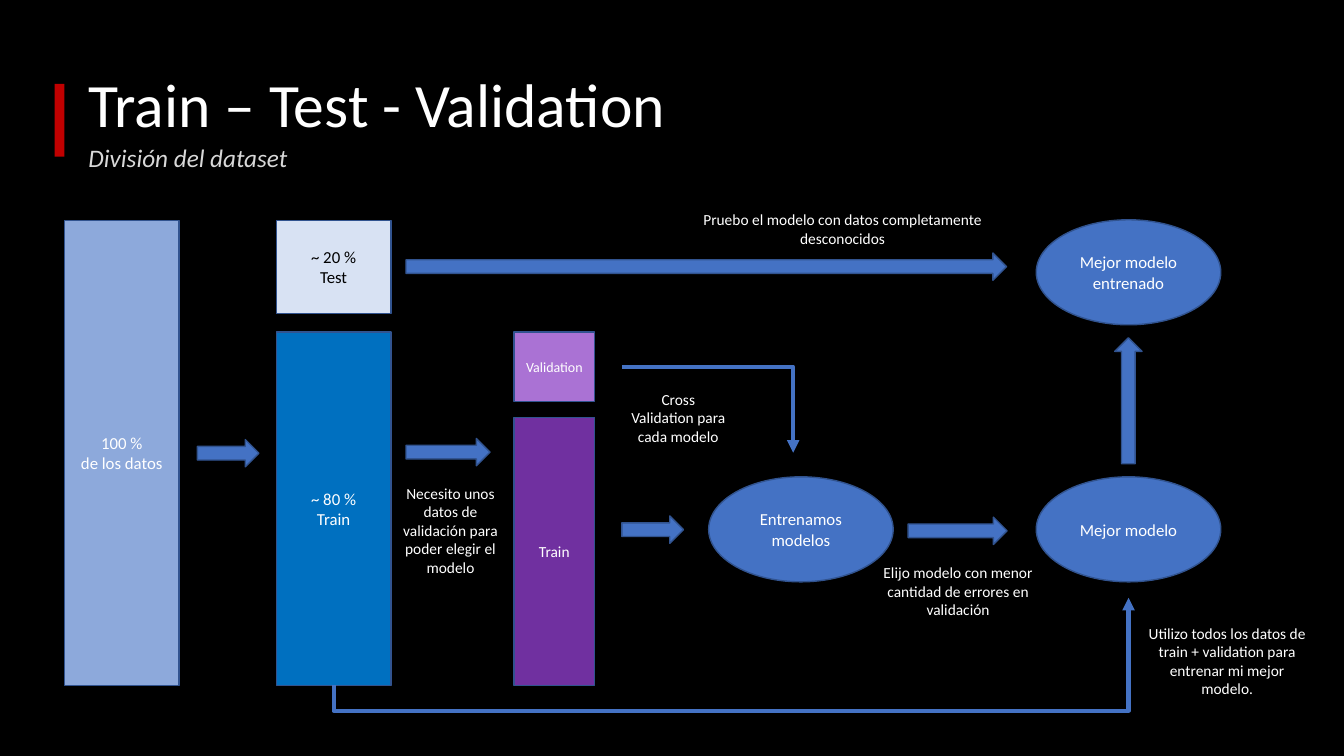
from dataclasses import dataclass

from lxml import etree
from pptx import Presentation
from pptx.dml.color import RGBColor
from pptx.enum.shapes import MSO_CONNECTOR, MSO_SHAPE
from pptx.enum.text import MSO_ANCHOR, MSO_AUTO_SIZE, PP_ALIGN
from pptx.oxml.ns import qn
from pptx.util import Pt

RECTANGLE = MSO_SHAPE.RECTANGLE
ELLIPSE = MSO_SHAPE.OVAL
ARROW = MSO_SHAPE.RIGHT_ARROW
ELBOW = MSO_CONNECTOR.ELBOW
LEFT, CENTER = PP_ALIGN.LEFT, PP_ALIGN.CENTER
TOP, MIDDLE = MSO_ANCHOR.TOP, MSO_ANCHOR.MIDDLE
NO_FIT, GROW = MSO_AUTO_SIZE.NONE, MSO_AUTO_SIZE.SHAPE_TO_FIT_TEXT


@dataclass(frozen=True)
class Theme:
    font: str = "Calibri"
    background: str = "000000"
    white: str = "FFFFFF"
    black: str = "000000"
    subtitle: str = "D8D8D8"
    accent: str = "C00000"
    blue: str = "4472C4"
    outline: str = "31538F"
    all_data: str = "8DA9DB"
    test: str = "D8E2F3"
    train: str = "0070C0"
    validation: str = "AA72D4"
    inner_train: str = "7030A0"
    title_size: int = 44
    subtitle_size: int = 18
    node_size: int = 12
    label_size: int = 11
    small_size: int = 10


THEME = Theme()
BAR_TOP, BAR_BOTTOM, BAR_WIDTH = 157.7, 489.6, 82
SPLIT_TOP = 237
DATA_LEFT, SPLIT_LEFT, FOLD_LEFT = 46, 197.3, 367.2
FOLD_WIDTH = 57.6
NODE_WIDTH, NODE_HEIGHT, NODE_TOP = 131.8, 75, 340.6
TRAINING_LEFT, BEST_LEFT = 506.2, 740.2
ARROW_HEIGHT = 19.5
FROM_SPLIT, FROM_FOLD = 290, 444.2


def color(value):
    return RGBColor.from_string(value)


def write(box, lines, size, ink=THEME.white, align=CENTER, anchor=MIDDLE,
          italic=False, spacing=1.0):
    frame = box.text_frame
    frame.word_wrap = True
    frame.vertical_anchor = anchor
    for index, line in enumerate(lines):
        para = frame.add_paragraph() if index else frame.paragraphs[0]
        para.alignment = align
        para.line_spacing = spacing
        para.space_before = Pt(0)
        span = para.add_run()
        span.text = line
        span.font.name = THEME.font
        span.font.size = Pt(size)
        span.font.italic = italic
        span.font.color.rgb = color(ink)


def add_block(page, kind, left, top, width, height, fill, outlined=True):
    box = page.shapes.add_shape(kind, Pt(left), Pt(top), Pt(width), Pt(height))
    box.shadow.inherit = False
    box.fill.solid()
    box.fill.fore_color.rgb = color(fill)
    if outlined:
        box.line.color.rgb = color(THEME.outline)
        box.line.width = Pt(1)
    else:
        box.line.fill.background()
    return box


def add_bar(page, left, top, bottom, width, fill, lines,
            size=THEME.node_size, ink=THEME.white):
    box = add_block(page, RECTANGLE, left, top, width, bottom - top, fill)
    write(box, lines, size, ink)


def add_node(page, left, top, text):
    box = add_block(page, ELLIPSE, left, top, NODE_WIDTH, NODE_HEIGHT, THEME.blue)
    write(box, [text], THEME.node_size)


def add_arrow(page, left, top, length, rotation=0):
    arrow = add_block(page, ARROW, left, top, length, ARROW_HEIGHT, THEME.blue)
    arrow.rotation = rotation


def add_label(page, left, top, width, height, text):
    box = page.shapes.add_textbox(Pt(left), Pt(top), Pt(width), Pt(height))
    write(box, [text], THEME.label_size, anchor=TOP)
    box.text_frame.auto_size = GROW


def add_elbow(page, left, top, right, bottom):
    link = page.shapes.add_connector(ELBOW, Pt(left), Pt(top), Pt(right), Pt(bottom))
    link.line.color.rgb = color(THEME.blue)
    link.line.width = Pt(3)
    properties = link._element.spPr
    etree.SubElement(properties.find(qn("a:ln")), qn("a:tailEnd"), type="triangle")
    etree.SubElement(properties, qn("a:effectLst"))
    return properties


def add_corner_link(page, left, top, right, bottom):
    properties = add_elbow(page, left, top, right, bottom)
    properties.find(qn("a:prstGeom")).set("prst", "bentConnector2")


def add_loop_link(page, left, start, right, end, drop):
    rise, run = start - end, right - left
    middle_x, middle_y = (left + right) / 2, (start + end) / 2
    properties = add_elbow(page, middle_x - rise / 2, middle_y - run / 2,
                           middle_x + rise / 2, middle_y + run / 2)
    properties.find(qn("a:xfrm")).set("rot", str(270 * 60000))
    guides = properties.find(qn("a:prstGeom")).get_or_add_avLst()
    etree.SubElement(guides, qn("a:gd"), name="adj1",
                     fmla=f"val {round(-drop / rise * 100000)}")


def place(box, left, top, width, height):
    box.left, box.top, box.width, box.height = Pt(left), Pt(top), Pt(width), Pt(height)
    box.text_frame.auto_size = NO_FIT


def add_heading(page):
    title, subtitle = page.shapes.title, page.placeholders[1]
    place(title, 56, 24.5, 828, 104.4)
    write(title, ["Train – Test - Validation"], THEME.title_size,
          align=LEFT, spacing=0.9)
    place(subtitle, 56, 100.8, 432, 37.4)
    write(subtitle, ["División del dataset"], THEME.subtitle_size, THEME.subtitle,
          LEFT, TOP, italic=True, spacing=0.9)
    settings = subtitle.text_frame.paragraphs[0]._p.get_or_add_pPr()
    settings.set("marL", "0")
    settings.set("indent", "0")
    etree.SubElement(settings, qn("a:buNone"))
    add_block(page, RECTANGLE, 39, 60, 7, 52, THEME.accent, outlined=False)


def add_datasets(page):
    add_bar(page, DATA_LEFT, BAR_TOP, BAR_BOTTOM, BAR_WIDTH, THEME.all_data,
            ["100 %", "de los datos"])
    add_bar(page, SPLIT_LEFT, BAR_TOP, 223.9, BAR_WIDTH, THEME.test,
            ["~ 20 %", "Test"], ink=THEME.black)
    add_bar(page, SPLIT_LEFT, SPLIT_TOP, BAR_BOTTOM, BAR_WIDTH, THEME.train,
            ["~ 80 %", "Train"])
    add_bar(page, FOLD_LEFT, SPLIT_TOP, 286.7, FOLD_WIDTH, THEME.validation,
            ["Validation"], THEME.small_size)
    add_bar(page, FOLD_LEFT, 298, BAR_BOTTOM, FOLD_WIDTH, THEME.inner_train,
            ["Train"], THEME.label_size)


def add_flow(page):
    add_node(page, TRAINING_LEFT, NODE_TOP, "Entrenamos modelos")
    add_node(page, BEST_LEFT, NODE_TOP, "Mejor modelo")
    add_node(page, BEST_LEFT, 157, "Mejor modelo entrenado")
    for left, top, length in [(141, 314, 44), (FROM_SPLIT, 313.2, 60),
                              (FROM_FOLD, 368.6, 44), (FROM_SPLIT, 180.7, 429),
                              (648.7, 369.4, 70.6)]:
        add_arrow(page, left, top, length)
    add_arrow(page, 761, 276.5, 90, rotation=270)
    add_corner_link(page, FROM_FOLD, 262, 566.6, 323.3)
    add_loop_link(page, SPLIT_LEFT + BAR_WIDTH / 2, BAR_BOTTOM,
                  BEST_LEFT + NODE_WIDTH / 2, 427, 18)


def add_labels(page):
    for label in [
        (280.8, 342, 82, 74,
         "Necesito unos datos de validación para poder elegir el modelo"),
        (443.5, 275, 82, 47.5, "Cross Validation para cada modelo"),
        (618.5, 398.9, 131.8, 47.5,
         "Elijo modelo con menor cantidad de errores en validación"),
        (810.7, 442, 131.8, 60.5,
         "Utilizo todos los datos de train + validation para entrenar mi mejor modelo."),
        (493.9, 146.9, 216, 33.8,
         "Pruebo el modelo con datos completamente desconocidos"),
    ]:
        add_label(page, *label)


def main():
    deck = Presentation()
    deck.slide_width, deck.slide_height = Pt(960), Pt(540)
    page = deck.slides.add_slide(deck.slide_layouts[1])
    page.background.fill.solid()
    page.background.fill.fore_color.rgb = color(THEME.background)
    add_heading(page)
    add_datasets(page)
    add_flow(page)
    add_labels(page)
    deck.save("out.pptx")


if __name__ == "__main__":
    main()
